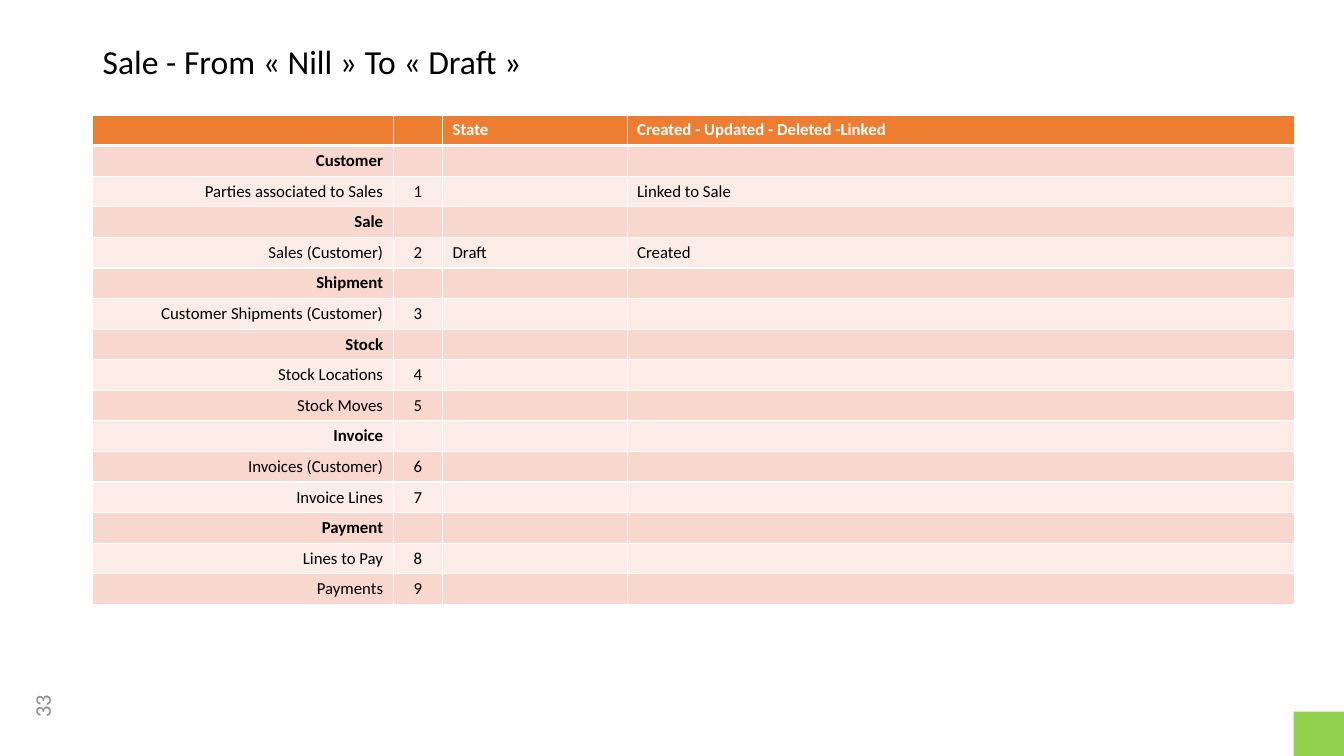
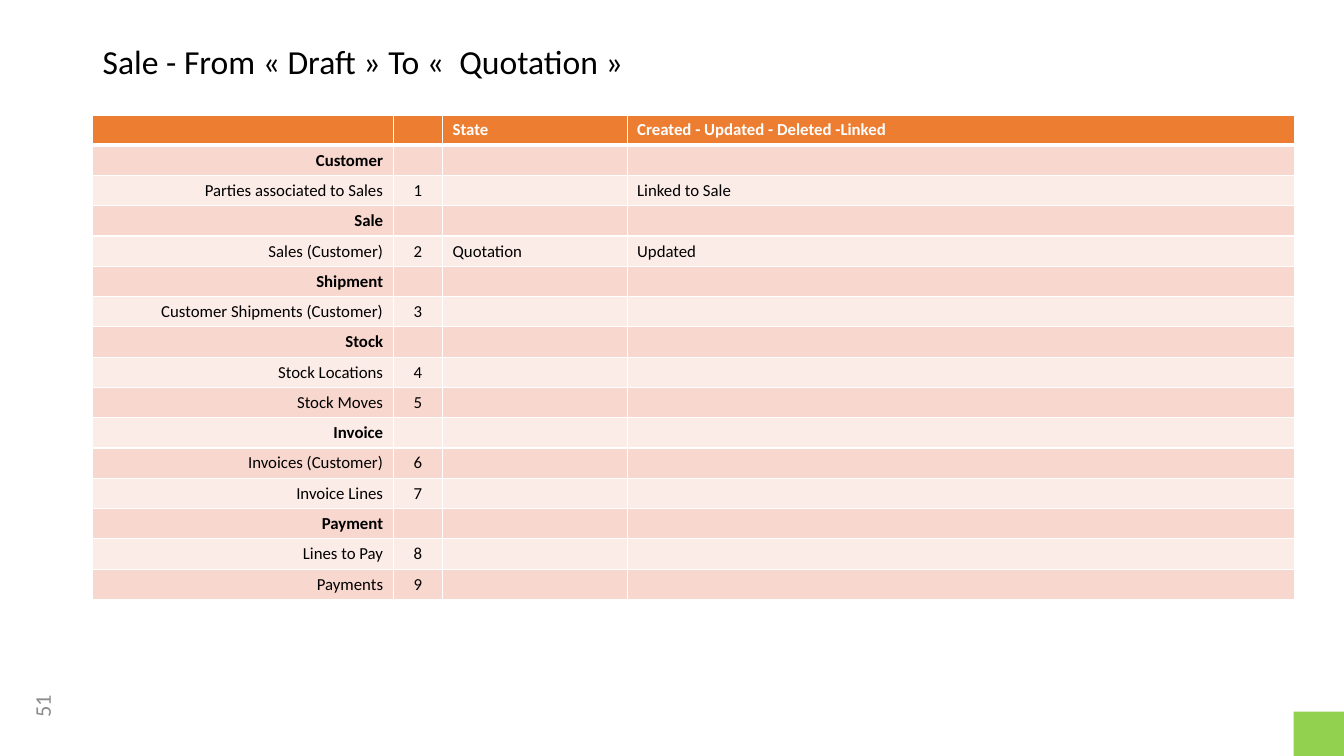
"""Build the two sale transition slides, each with a table of affected records."""
import lxml.etree
import pptx
import pptx.dml.color
import pptx.enum.shapes
import pptx.enum.text
import pptx.oxml.ns
import pptx.util

Inches = pptx.util.Inches
Align = pptx.enum.text.PP_ALIGN
Anchor = pptx.enum.text.MSO_ANCHOR

FONT = "Calibri"
BLACK, WHITE, GREY = "000000", "FFFFFF", "8C8C8C"
ORANGE, GREEN = "ED7D31", "92D050"
BANDS = ("F8D7CE", "FCECE8")

COLUMN_WIDTHS = (2.98, 0.49, 1.83, 6.62)
COLUMN_ALIGNMENTS = (Align.RIGHT, Align.CENTER, Align.LEFT, Align.LEFT)
ROW_HEIGHT = 0.3
HEADINGS = ("", "", "State", "Created - Updated - Deleted -Linked")
SECTIONS = {
    "Customer": ["Parties associated to Sales"],
    "Sale": ["Sales (Customer)"],
    "Shipment": ["Customer Shipments (Customer)"],
    "Stock": ["Stock Locations", "Stock Moves"],
    "Invoice": ["Invoices (Customer)", "Invoice Lines"],
    "Payment": ["Lines to Pay", "Payments"],
}

SLIDES = [
    ("Sale - From « Nill » To « Draft »", "33", {
        "Parties associated to Sales": ("", "Linked to Sale"),
        "Sales (Customer)": ("Draft", "Created"),
    }),
    ("Sale - From « Draft » To «  Quotation »", "51", {
        "Parties associated to Sales": ("", "Linked to Sale"),
        "Sales (Customer)": ("Quotation", "Updated"),
    }),
]


def rgb(value):
    return pptx.dml.color.RGBColor.from_string(value)


def add_element(parent, tag, **attributes):
    return lxml.etree.SubElement(parent, pptx.oxml.ns.qn(tag), attributes)


def write_text(paragraph, text, size, color, alignment, bold=False):
    paragraph.alignment = alignment
    font = paragraph.font
    font.name = FONT
    font.size = pptx.util.Pt(size)
    font.bold = bold
    font.color.rgb = rgb(color)
    if text:
        paragraph.add_run().text = text
    else:
        add_element(paragraph._p, "a:endParaRPr", sz=str(size * 100))


def add_text_box(slide, box, text, size, color, alignment, anchor):
    shape = slide.shapes.add_textbox(*map(Inches, box))
    shape.text_frame.word_wrap = True
    shape.text_frame.vertical_anchor = anchor
    write_text(shape.text_frame.paragraphs[0], text, size, color, alignment)
    return shape


def add_title(slide, title):
    shape = add_text_box(slide, (0.92, 0.4, 11.5, 0.51), title, 24, BLACK,
                         Align.LEFT, Anchor.TOP)
    shape.text_frame.paragraphs[0].line_spacing = 0.9


def add_page_number(slide, number):
    shape = add_text_box(slide, (0.04, 6.81, 0.75, 0.4), number, 16, GREY,
                         Align.CENTER, Anchor.MIDDLE)
    shape.rotation = 270


def add_corner_block(slide):
    shape = slide.shapes.add_shape(pptx.enum.shapes.MSO_SHAPE.RECTANGLE,
                                   *map(Inches, (12.83, 7.06, 0.51, 0.44)))
    shape.shadow.inherit = False
    shape.fill.solid()
    shape.fill.fore_color.rgb = rgb(GREEN)
    shape.line.fill.background()


def set_borders(cell, top, bottom):
    properties = cell._tc.get_or_add_tcPr()
    for side, width in (("L", 1), ("R", 1), ("T", top), ("B", bottom)):
        line = add_element(properties, f"a:ln{side}", w=str(pptx.util.Pt(width)))
        add_element(add_element(line, "a:solidFill"), "a:srgbClr", val=WHITE)


def table_rows(changes):
    rows = [HEADINGS]
    number = 0
    for section, records in SECTIONS.items():
        rows.append((section, "", "", ""))
        for record in records:
            number += 1
            rows.append((record, str(number), *changes.get(record, ("", ""))))
    return rows


def add_record_table(slide, changes):
    rows = table_rows(changes)
    frame = slide.shapes.add_table(
        len(rows), len(COLUMN_WIDTHS), Inches(0.92), Inches(1.14),
        Inches(sum(COLUMN_WIDTHS)), Inches(ROW_HEIGHT * len(rows)))
    table = frame.table
    table.horz_banding = False
    for column, width in zip(table.columns, COLUMN_WIDTHS):
        column.width = Inches(width)
    for row_index, values in enumerate(rows):
        table.rows[row_index].height = Inches(ROW_HEIGHT)
        header = row_index == 0
        fill = ORANGE if header else BANDS[(row_index - 1) % 2]
        color = WHITE if header else BLACK
        bold = header or values[0] in SECTIONS
        for column_index, text in enumerate(values):
            cell = table.cell(row_index, column_index)
            set_borders(cell, 3 if row_index == 1 else 1, 3 if header else 1)
            cell.fill.solid()
            cell.fill.fore_color.rgb = rgb(fill)
            write_text(cell.text_frame.paragraphs[0], text, 12, color,
                       COLUMN_ALIGNMENTS[column_index], bold)


def main():
    presentation = pptx.Presentation()
    presentation.slide_width = Inches(13.33)
    presentation.slide_height = Inches(7.5)
    for title, number, changes in SLIDES:
        slide = presentation.slides.add_slide(presentation.slide_layouts[6])
        add_record_table(slide, changes)
        add_page_number(slide, number)
        add_corner_block(slide)
        add_title(slide, title)
    presentation.save("out.pptx")


if __name__ == "__main__":
    main()
